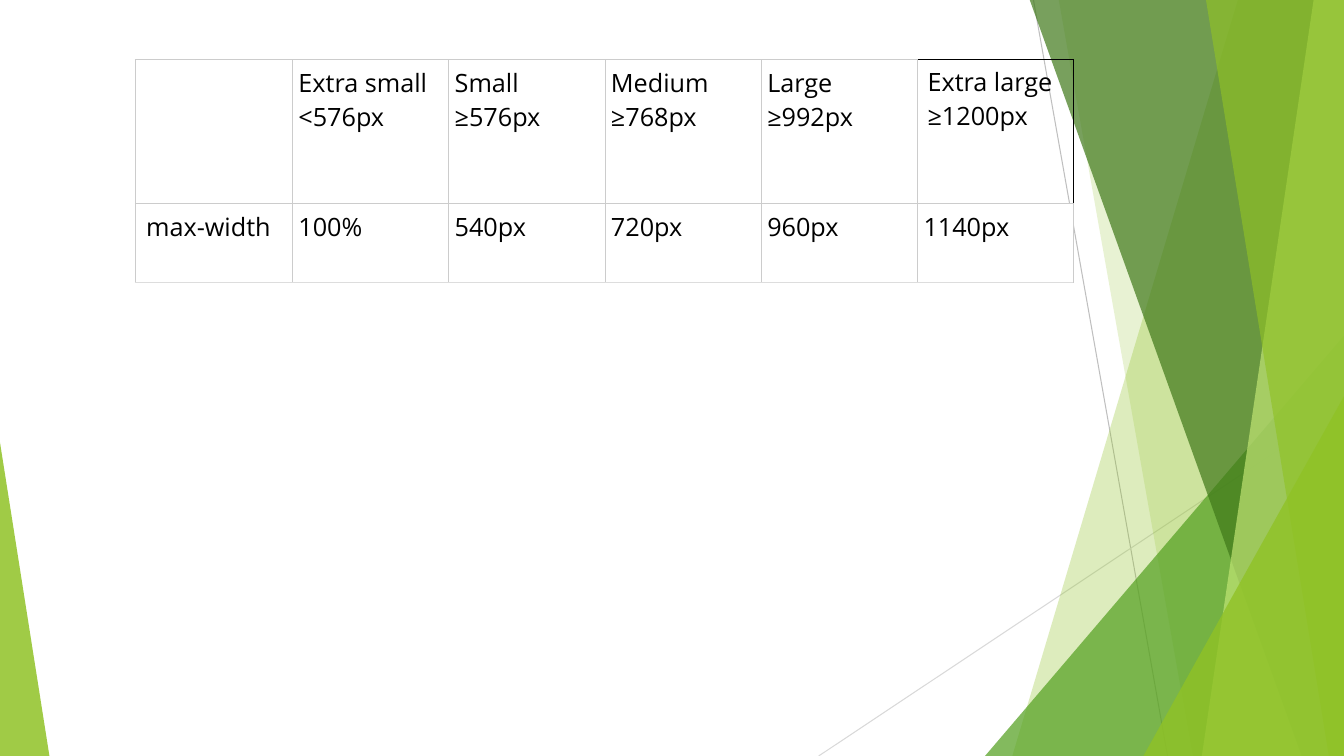
from lxml.etree import SubElement
from pptx import Presentation
from pptx.dml.color import RGBColor
from pptx.enum.shapes import MSO_CONNECTOR as CONNECTOR, MSO_SHAPE as SHAPE
from pptx.oxml.ns import qn
from pptx.util import Pt

PX = 9144
WIDTH, HEIGHT = 1333, 750
COLORS = {
    "lime": "90C226",
    "green": "54A021",
    "forest": "3F7819",
    "pale": "C0E474",
    "steep_line": "BFBFBF",
    "flat_line": "D9D9D9",
    "grid": "CCCCCC",
    "grid_bottom": "DDDDDD",
    "black": "000000",
    "white": "FFFFFF",
}
ROWS = [
    ["", "Extra small <576px", "Small\v≥576px", "Medium\v≥768px",
     "Large\v≥992px", "Extra large\v≥1200px"],
    ["max-width", "100%", "540px", "720px", "960px", "1140px"],
]
COLUMN_WIDTHS = [156] + [155] * 5
ROW_HEIGHTS = [143, 78]


def rgb(color):
    return RGBColor.from_string(COLORS[color])


def paint(facet, color, opacity):
    facet.shadow.inherit = False
    facet.fill.solid()
    facet.fill.fore_color.rgb = rgb(color)
    facet.line.fill.background()
    color_node = facet.fill._xPr.find(qn("a:solidFill"))[0]
    SubElement(color_node, qn("a:alpha"), val=str(opacity * 1000))


def add_thin_line(slide, start, end, color):
    thin_line = slide.shapes.add_connector(
        CONNECTOR.STRAIGHT, *(value * PX for value in start + end))
    thin_line.line.color.rgb = rgb(color)
    thin_line.line.width = Pt(0.75)
    SubElement(thin_line._element.spPr, qn("a:effectLst"))


def add_band(slide, top_x, bottom_x, color, opacity):
    outline = slide.shapes.build_freeform(top_x, -1, scale=PX)
    outline.add_line_segments(
        [(WIDTH, -1), (WIDTH, HEIGHT), (bottom_x, HEIGHT)], close=True)
    paint(outline.convert_to_shape(), color, opacity)


def add_corner(slide, left, top, width, apex, color, opacity):
    corner = slide.shapes.add_shape(
        SHAPE.ISOSCELES_TRIANGLE, left * PX, top * PX,
        width * PX, (HEIGHT - top) * PX)
    corner.adjustments[0] = apex
    paint(corner, color, opacity)


def add_border(cell, side, color, points):
    border = SubElement(cell._tc.get_or_add_tcPr(), qn(f"a:ln{side}"),
                        w=str(Pt(points)))
    fill = SubElement(border, qn("a:solidFill"))
    SubElement(fill, qn("a:srgbClr"), val=COLORS[color])


def fill_cell(cell, text, left_margin, is_open, is_last_row):
    if is_open:
        cell.margin_left = cell.margin_right = 10 * PX
        cell.margin_top = cell.margin_bottom = 5 * PX
    else:
        cell.margin_left = left_margin * PX
        cell.margin_right = cell.margin_top = cell.margin_bottom = 6 * PX
    for side in "LRTB":
        if is_open and side in "RT":
            add_border(cell, side, "black", 1)
        elif is_last_row and side == "B":
            add_border(cell, side, "grid_bottom", 0.5)
        else:
            add_border(cell, side, "grid", 0.5)
    if is_open:
        cell.fill.background()
    else:
        cell.fill.solid()
        cell.fill.fore_color.rgb = rgb("white")
    cell.text_frame.text = text
    for run in cell.text_frame.paragraphs[0].runs:
        run.font.size = Pt(18)
        run.font.name = "Open Sans"
        run.font.color.rgb = rgb("black")


def add_breakpoints(slide, left, top):
    breakpoints = slide.shapes.add_table(
        len(ROWS), len(COLUMN_WIDTHS), left * PX, top * PX,
        sum(COLUMN_WIDTHS) * PX, sum(ROW_HEIGHTS) * PX).table
    breakpoints.first_row = False
    breakpoints.horz_banding = False
    for column, width in zip(breakpoints.columns, COLUMN_WIDTHS):
        column.width = width * PX
    for row, height in zip(breakpoints.rows, ROW_HEIGHTS):
        row.height = height * PX
    for r, texts in enumerate(ROWS):
        for c, text in enumerate(texts):
            fill_cell(breakpoints.cell(r, c), text,
                      left_margin=11 if c == 0 else 6,
                      is_open=r == 0 and c == len(texts) - 1,
                      is_last_row=r == len(ROWS) - 1)


def main():
    deck = Presentation()
    deck.slide_width, deck.slide_height = WIDTH * PX, HEIGHT * PX
    slide = deck.slides.add_slide(deck.slide_layouts[6])
    add_thin_line(slide, (1025, 0), (1158, HEIGHT), "steep_line")
    add_thin_line(slide, (WIDTH, 403), (812, HEIGHT), "flat_line")
    add_band(slide, 1228, 1004, "lime", 30)
    add_band(slide, 1050, 1183, "lime", 20)
    add_corner(slide, 977, 333, 356, 1, "green", 72)
    add_band(slide, 1021, 1291, "forest", 70)
    add_band(slide, 1303, 1192, "pale", 70)
    add_band(slide, 1196, 1318, "lime", 65)
    add_corner(slide, 1134, 393, 199, 1, "lime", 80)
    add_corner(slide, 0, 439, 49, 0, "lime", 85)
    add_breakpoints(slide, 134, 59)
    deck.save("out.pptx")


if __name__ == "__main__":
    main()
